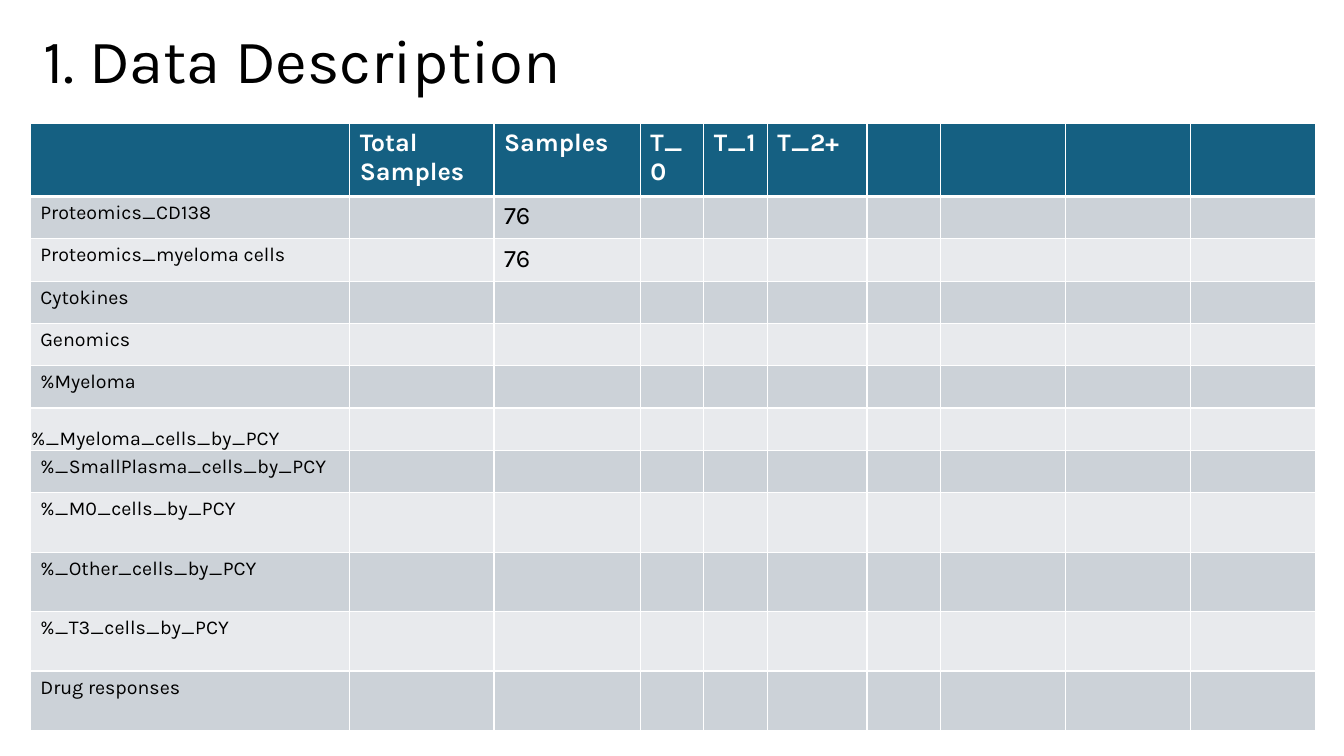
from lxml.etree import SubElement
from pptx import Presentation
from pptx.dml.color import RGBColor
from pptx.enum.text import MSO_ANCHOR as Anchor
from pptx.oxml.ns import qn
from pptx.util import Inches, Pt

WHITE = RGBColor(0xFF, 0xFF, 0xFF)
BLACK = RGBColor(0x00, 0x00, 0x00)
HEADER_BLUE = RGBColor(0x15, 0x60, 0x82)
BAND_DARK = RGBColor(0xCC, 0xD2, 0xD8)
BAND_LIGHT = RGBColor(0xE8, 0xEA, 0xED)

COLUMN_WIDTHS = [3.17, 1.43, 1.45, 0.63, 0.63, 0.99, 0.73] + [1.24] * 3
ROW_HEIGHTS = [0.73] + [0.42] * 7 + [0.59] * 4
HEADINGS = ["", "Total Samples", "Samples", "T_0", "T_1", "T_2+"]
DATASETS = [
    ("Proteomics_CD138", "76"),
    ("Proteomics_myeloma cells", "76"),
    ("Cytokines", ""),
    ("Genomics", ""),
    ("%Myeloma", ""),
    ("%_Myeloma_cells_by_PCY", ""),
    ("%_SmallPlasma_cells_by_PCY", ""),
    ("%_M0_cells_by_PCY", ""),
    ("%_Other_cells_by_PCY", ""),
    ("%_T3_cells_by_PCY", ""),
    ("Drug responses", ""),
]
TIGHT_ROW = 6  # its label sits at the bottom edge with almost no margin


class SlideBuilder:
    font_name = "Karla"

    def __init__(self, slide):
        self.slide = slide

    def style(self, paragraph, size, color, bold=False):
        font = paragraph.font
        font.name, font.size, font.bold = self.font_name, Pt(size), bold
        font.color.rgb = color

    def title(self, text, left, top, width, height):
        box = self.slide.shapes.add_textbox(
            Inches(left), Inches(top), Inches(width), Inches(height))
        frame = box.text_frame
        frame.word_wrap = True
        frame.vertical_anchor = Anchor.MIDDLE
        heading = frame.paragraphs[0]
        heading.text = text
        heading.line_spacing = 0.9
        self.style(heading, 44, BLACK)

    def table(self, left, top, widths, heights):
        table = self.slide.shapes.add_table(
            len(heights), len(widths), Inches(left), Inches(top),
            Inches(sum(widths)), Inches(sum(heights))).table
        for column, width in zip(table.columns, widths):
            column.width = Inches(width)
        for row, height in zip(table.rows, heights):
            row.height = Inches(height)
        return table

    def cell(self, cell, text, fill, size, color, bold=False):
        cell.fill.solid()
        cell.fill.fore_color.rgb = fill
        paragraph = cell.text_frame.paragraphs[0]
        paragraph.text = text
        self.style(paragraph, size, color, bold)

    def borders(self, cell, top=1, bottom=1):
        properties = cell._tc.get_or_add_tcPr()
        sides = {"L": 1, "R": 1, "T": top, "B": bottom}
        for position, (side, points) in enumerate(sides.items()):
            line = SubElement(properties, qn(f"a:ln{side}"), w=str(Pt(points)))
            solid = SubElement(line, qn("a:solidFill"))
            SubElement(solid, qn("a:srgbClr"), val=str(WHITE))
            properties.insert(position, line)


def main():
    deck = Presentation()
    deck.slide_width, deck.slide_height = Inches(13.33), Inches(7.5)
    builder = SlideBuilder(deck.slides.add_slide(deck.slide_layouts[6]))

    # Title
    builder.title("1. Data Description", 0.33, 0.23, 11.5, 0.81)

    # Data table: header row
    table = builder.table(0.3, 1.22, COLUMN_WIDTHS, ROW_HEIGHTS)
    blanks = [""] * (len(COLUMN_WIDTHS) - len(HEADINGS))
    for column, heading in enumerate(HEADINGS + blanks):
        cell = table.cell(0, column)
        builder.cell(cell, heading, HEADER_BLUE, 18, WHITE, bold=True)
        builder.borders(cell, bottom=3)

    # Data table: one banded row per dataset
    for row, (dataset, samples) in enumerate(DATASETS, start=1):
        band = BAND_DARK if row % 2 else BAND_LIGHT
        texts = {0: dataset, 2: samples}
        for column in range(len(COLUMN_WIDTHS)):
            cell = table.cell(row, column)
            size = 14 if column == 0 else 18
            builder.cell(cell, texts.get(column, ""), band, size, BLACK)
            builder.borders(cell, top=3 if row == 1 else 1)

    tight = table.cell(TIGHT_ROW, 0)
    tight.vertical_anchor = Anchor.BOTTOM
    tight.margin_left = tight.margin_right = tight.margin_top = Inches(0.01)
    tight.margin_bottom = 0

    deck.save("out.pptx")


if __name__ == "__main__":
    main()
